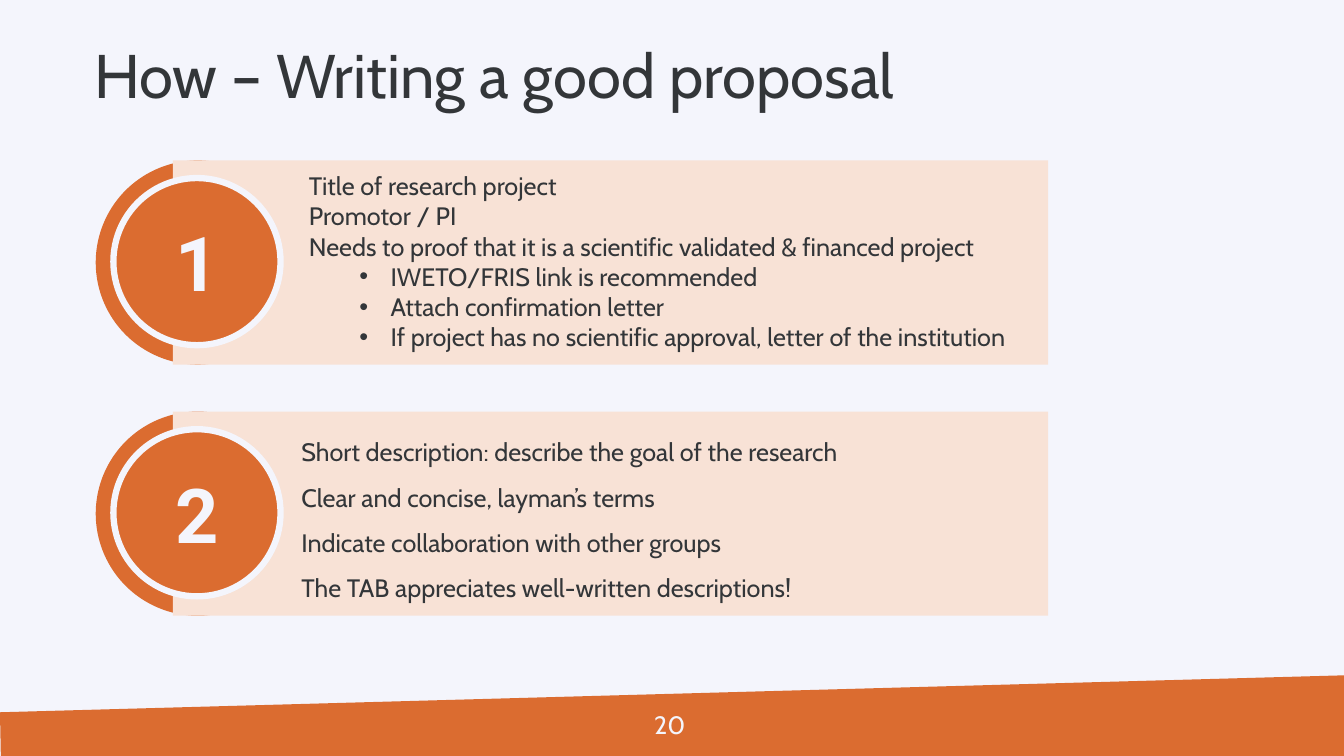
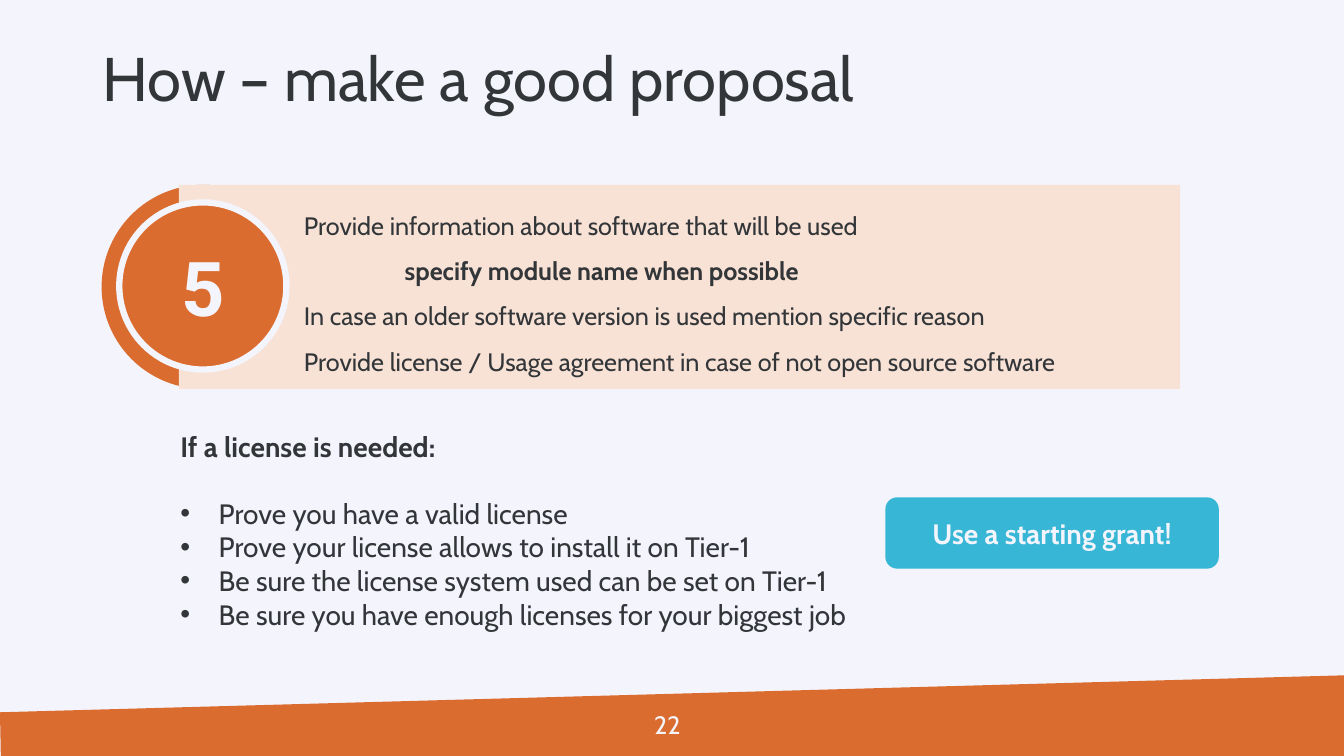
from lxml import etree
from pptx import Presentation
from pptx.dml.color import RGBColor
from pptx.enum.shapes import MSO_SHAPE
from pptx.enum.text import MSO_ANCHOR, MSO_AUTO_SIZE, PP_ALIGN
from pptx.oxml.ns import qn
from pptx.util import Emu, Inches, Pt

RECT, OVAL, ROUNDED = MSO_SHAPE.RECTANGLE, MSO_SHAPE.OVAL, MSO_SHAPE.ROUNDED_RECTANGLE
TOP, MIDDLE = MSO_ANCHOR.TOP, MSO_ANCHOR.MIDDLE
LEFT, CENTER = PP_ALIGN.LEFT, PP_ALIGN.CENTER
NO_FIT = MSO_AUTO_SIZE.NONE

COLUMNS, ROWS = 160, 90
CELL = 76200
COLORS = {
    "paper": "F4F5FC",
    "ink": "333639",
    "orange": "DB6C30",
    "peach": "F8E2D6",
    "cyan": "37B7D5",
}
FONTS = {
    "title": {"name": "Cabin", "size": Pt(44), "color": "ink"},
    "body": {"name": "Cabin", "size": Pt(18), "color": "ink"},
    "large": {"name": "Cabin", "size": Pt(20), "color": "ink"},
    "number": {"name": "Roboto", "size": Pt(54), "bold": True, "color": "paper"},
    "page": {"name": "Cabin", "size": Pt(18), "color": "paper"},
    "button": {"name": "Cabin", "size": Pt(20), "bold": True, "color": "paper"},
}
LINE_STYLES = {
    "plain": {},
    "heading": {"bold": True, "space_after": Pt(24)},
    "indented": {"bold": True, "margin": 1},
    "bullet": {"margin": 0.38, "hanging": 0.38},
    "sub": {"margin": 0.81, "hanging": 0.31, "level": 1},
}


def cells(*counts):
    """Turn counts of grid cells into lengths."""
    return [Emu(round(count * CELL)) for count in counts]


def color(name):
    """Look up a palette colour."""
    return RGBColor.from_string(COLORS[name])


def apply(target, values):
    """Set each attribute of a format dict."""
    for key, value in values.items():
        setattr(target, key, value)


def style_run(run, font, bold=None):
    """Format a run with one of the named fonts."""
    values = dict(FONTS[font])
    run.font.color.rgb = color(values.pop("color"))
    if bold is not None:
        values["bold"] = bold
    apply(run.font, values)


def indent(paragraph, margin, hanging=0):
    """Indent a paragraph, with a bullet in the hanging part."""
    properties = paragraph._p.get_or_add_pPr()
    properties.set("marL", str(Inches(margin)))
    properties.set("indent", str(-Inches(hanging)))
    if hanging:
        font = etree.SubElement(properties, qn("a:buFont"))
        font.set("typeface", "Arial")
        bullet = etree.SubElement(properties, qn("a:buChar"))
        bullet.set("char", "•")


def write(frame, lines, font, spacing=1.0, align=LEFT):
    """Fill a text frame with (text, line style) pairs."""
    for index, (text, style) in enumerate(lines):
        paragraph = frame.paragraphs[0] if index == 0 else frame.add_paragraph()
        values = LINE_STYLES[style]
        if "margin" in values:
            indent(paragraph, values["margin"], values.get("hanging", 0))
        apply(paragraph, {
            "alignment": align,
            "line_spacing": spacing,
            "level": values.get("level", 0),
            "space_after": values.get("space_after"),
        })
        run = paragraph.add_run()
        run.text = text
        style_run(run, font, values.get("bold"))


def add_text(slide, box, lines, font, spacing=1.0):
    """Place a wrapping text box on the grid."""
    frame = slide.shapes.add_textbox(*cells(*box)).text_frame
    apply(frame, {"word_wrap": True, "vertical_anchor": TOP})
    write(frame, lines, font, spacing)


def add_block(slide, kind, box, fill, label="", font="body"):
    """Place a flat shape with an optional centred label."""
    block = slide.shapes.add_shape(kind, *cells(*box))
    block.shadow.inherit = False
    block.fill.solid()
    block.fill.fore_color.rgb = color(fill)
    block.line.fill.background()
    if label:
        apply(block.text_frame, {"word_wrap": False, "vertical_anchor": MIDDLE})
        write(block.text_frame, [(label, "plain")], font, align=CENTER)
    return block


def add_step(slide, box, number, lines, text_inset, spacing=1.0):
    """Draw a numbered step: ring, panel, disc and text."""
    left, top, width, height = box
    panel_inset, disc_inset, disc_size = 9.2, 2.1, 19.9
    add_block(slide, OVAL, (left, top, height, height), "orange")
    add_block(slide, RECT, (left + panel_inset, top, width - panel_inset, height), "peach")
    disc = add_block(
        slide, OVAL, (left + disc_inset, top + disc_inset, disc_size, disc_size),
        "orange", number, "number")
    disc.line.color.rgb = color("paper")
    disc.line.width = Pt(4.5)
    text_box = (left + text_inset, top + 0.6, width - text_inset, height - 1.2)
    add_text(slide, text_box, lines, "body", spacing)


def add_master_band(prs, slide):
    """Set the shared background and slanted footer band on the master."""
    background = prs.slide_master.background.fill
    background.solid()
    background.fore_color.rgb = color("paper")
    outline = [(0, 84.8), (COLUMNS, 80.4), (COLUMNS, ROWS), (0.1, ROWS)]
    points = [cells(*point) for point in outline]
    builder = slide.shapes.build_freeform(*points[0])
    builder.add_line_segments(points[1:], close=True)
    band = builder.convert_to_shape()
    band.shadow.inherit = False
    band.fill.solid()
    band.fill.fore_color.rgb = color("orange")
    band.line.fill.background()
    prs.slide_master.shapes._spTree.insert(2, band._element)


def add_slide(prs, heading, page, left, top):
    """Start a slide with its title and page number."""
    slide = prs.slides.add_slide(prs.slide_layouts[5])
    title = slide.shapes.title
    apply(title, dict(zip(("left", "top", "width", "height"), cells(left, top, 138, 17.4))))
    apply(title.text_frame, {
        "word_wrap": True, "auto_size": NO_FIT, "vertical_anchor": MIDDLE})
    write(title.text_frame, [(heading, "plain")], "title", 0.9)
    add_text(slide, (76.7, 83.8, 6.6, 4.8), [(page, "plain")], "page")
    return slide


def build_writing(prs):
    """Build the slide on writing a proposal."""
    slide = add_slide(prs, "How – Writing a good proposal", "20", 10, 0.7)
    add_master_band(prs, slide)
    add_step(slide, (11.4, 19.1, 113.4, 24.3), "1", [
        ("Title of research project", "plain"),
        ("Promotor / PI", "plain"),
        ("Needs to proof that it is a scientific validated & financed project", "plain"),
        ("IWETO/FRIS link is recommended", "sub"),
        ("Attach confirmation letter", "sub"),
        ("If project has no scientific approval, letter of the institution", "sub"),
    ], 24.2)
    add_step(slide, (11.4, 49, 113.4, 24.3), "2", [
        ("Short description: describe the goal of the research", "plain"),
        ("Clear and concise, layman’s terms", "plain"),
        ("Indicate collaboration with other groups", "plain"),
        ("The TAB appreciates well-written descriptions!", "plain"),
    ], 23.3, 1.5)


def build_software(prs):
    """Build the slide on software and licenses."""
    slide = add_slide(prs, "How – make a good proposal", "22", 11, 1)
    add_step(slide, (12.1, 22, 128.4, 24.3), "5", [
        ("Provide information about software that will be used", "plain"),
        ("specify module name when possible", "indented"),
        ("In case an older software version is used mention specific reason", "plain"),
        ("Provide license / Usage agreement in case of not open source software", "plain"),
    ], 22.9, 1.5)
    add_text(slide, (20.3, 50.5, 84, 25.4), [
        ("If a license is needed:", "heading"),
        ("Prove you have a valid license", "bullet"),
        ("Prove your license allows to install it on Tier-1", "bullet"),
        ("Be sure the license system used can be set on Tier-1", "bullet"),
        ("Be sure you have enough licenses for your biggest job", "bullet"),
    ], "large")
    add_block(slide, ROUNDED, (105.4, 59.2, 39.7, 8.5), "cyan",
              "Use a starting grant!", "button")


def main():
    """Build and save the presentation."""
    prs = Presentation()
    prs.slide_width, prs.slide_height = cells(COLUMNS, ROWS)
    build_writing(prs)
    build_software(prs)
    prs.save("out.pptx")


if __name__ == "__main__":
    main()
